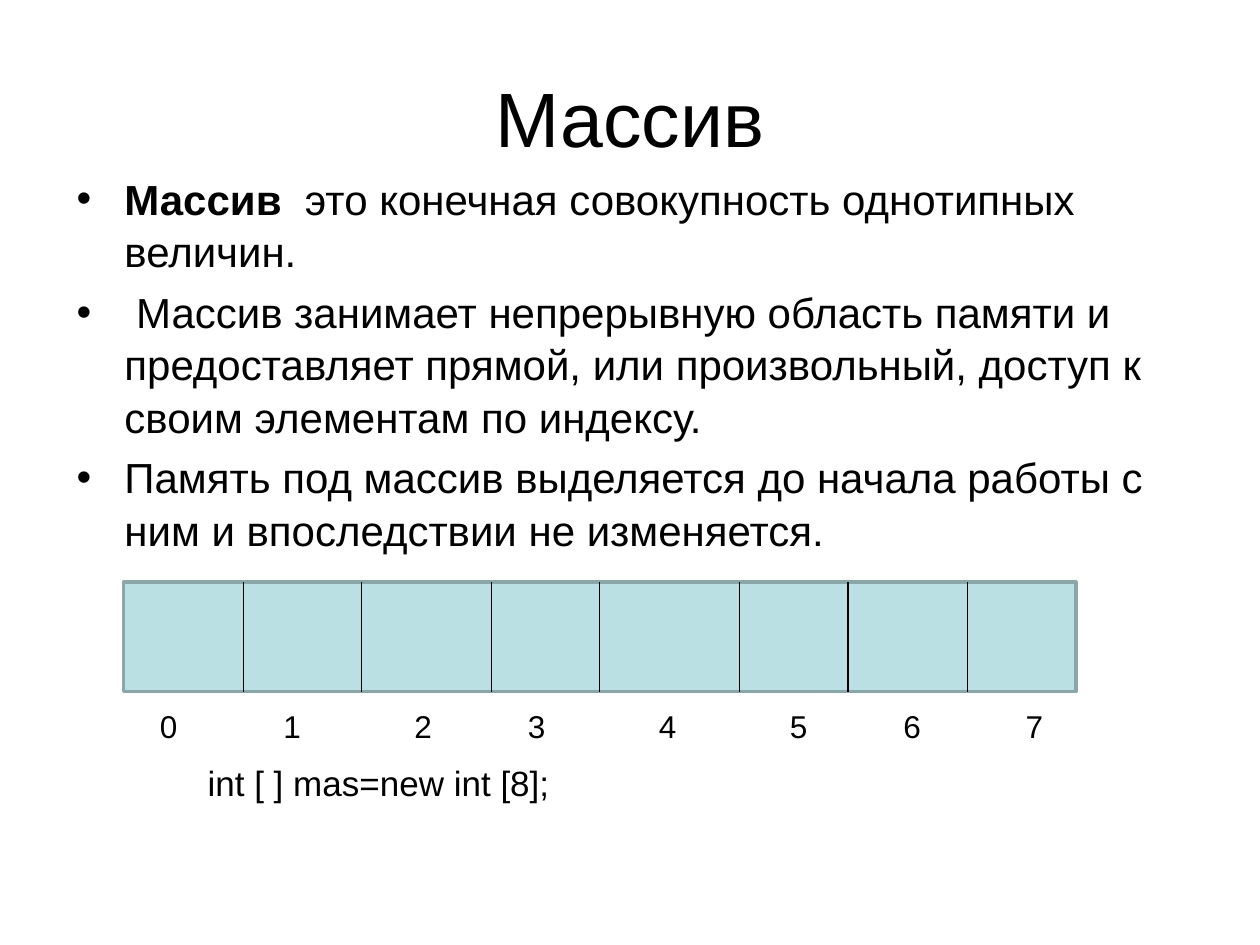
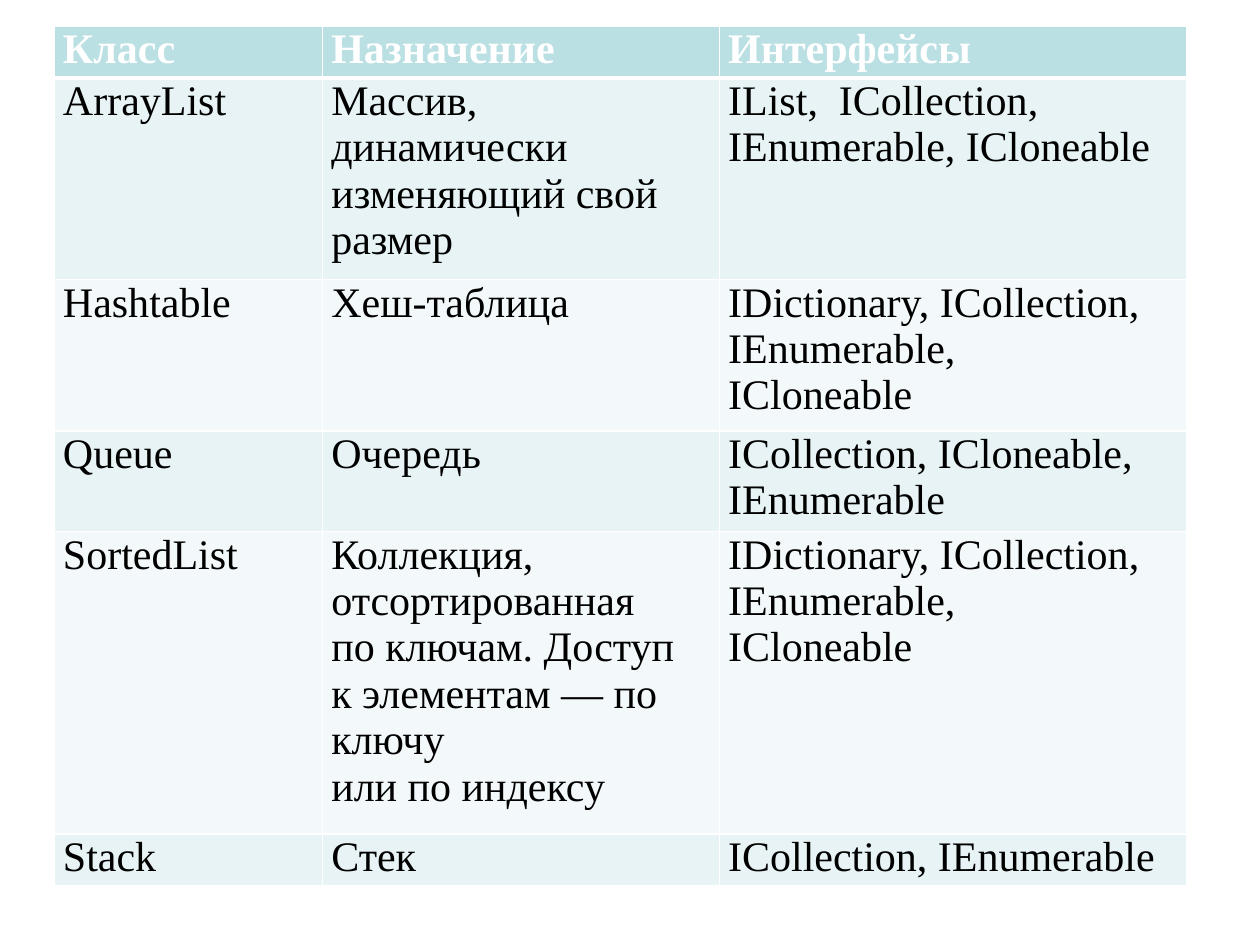
from dataclasses import dataclass

import lxml.etree
import pptx
import pptx.dml.color
import pptx.enum.shapes
import pptx.enum.text
import pptx.oxml.ns
import pptx.util

Inches = pptx.util.Inches
Pt = pptx.util.Pt
qn = pptx.oxml.ns.qn

COLORS = {
    "text": "000000",
    "white": "FFFFFF",
    "accent": "BBE0E3",
    "accent_edge": "8AA6A8",
    "odd_row": "E7F3F4",
    "even_row": "F3F9FA",
}
SANS = "Arial"
SERIF = "Times New Roman"


@dataclass(frozen=True)
class Box:
    left: float
    top: float
    width: float
    height: float

    def lengths(self) -> tuple:
        return tuple(Inches(n) for n in (self.left, self.top, self.width, self.height))


@dataclass(frozen=True)
class Bullet:
    text: str
    bold_start: str = ""


@dataclass(frozen=True)
class ClassRow:
    name: str
    purpose: str
    interfaces: str


BULLETS = [
    Bullet("  это конечная совокупность однотипных величин.", "Массив"),
    Bullet(" Массив занимает непрерывную область памяти и предоставляет прямой, "
           "или произвольный, доступ к своим элементам по индексу."),
    Bullet("Память под массив выделяется до начала работы с ним и впоследствии "
           "не изменяется."),
]
ARRAY_BOX = Box(0.98, 4.62, 7.56, 0.87)
DIVIDERS = [1.93, 2.87, 3.9, 4.76, 5.87, 6.73, 7.68]
INDEX_BOX = Box(0.9, 5.56, 7.72, 0.4)
INDEX_CENTERS = [1.34, 2.32, 3.36, 4.26, 5.3, 6.34, 7.24, 8.21]
INSET = 0.1

HEADER = ClassRow("Класс", "Назначение", "Интерфейсы")
CLASS_ROWS = [
    ClassRow("ArrayList", "Массив, динамически\nизменяющий свой размер",
             "IList,  ICollection, IEnumerable, ICloneable"),
    ClassRow("Hashtable", "Хеш-таблица",
             "IDictionary, ICollection, IEnumerable,\nICloneable"),
    ClassRow("Queue", "Очередь", "ICollection, ICloneable, IEnumerable"),
    ClassRow("SortedList",
             "Коллекция, отсортированная\nпо ключам. Доступ\n"
             "к элементам — по ключу\nили по индексу",
             "IDictionary, ICollection, IEnumerable,\nICloneable"),
    ClassRow("Stack", "Стек", "ICollection, IEnumerable"),
]
TABLE_BOX = Box(0.43, 0.21, 8.99, 6.82)
COLUMN_WIDTHS = [2.13, 3.15, 3.71]
ROW_HEIGHTS = [0.41, 1.6, 1.2, 0.8, 2.4, 0.41]


def rgb(name: str) -> pptx.dml.color.RGBColor:
    return pptx.dml.color.RGBColor.from_string(COLORS[name])


def format_font(font, name: str, size: float, color: str = "text") -> None:
    font.name = name
    font.size = Pt(size)
    font.color.rgb = rgb(color)


def add_text_box(slide, box: Box):
    text_frame = slide.shapes.add_textbox(*box.lengths()).text_frame
    text_frame.word_wrap = True
    return text_frame


def set_indent(paragraph, margin: float, indent: float):
    properties = paragraph._p.get_or_add_pPr()
    properties.set("marL", str(Inches(margin)))
    properties.set("indent", str(Inches(indent)))
    return properties


def add_title(slide, text: str) -> None:
    title = slide.shapes.title
    title.left, title.top, title.width, title.height = Box(0.5, 0.3, 9, 1.25).lengths()
    title.text_frame.text = text
    title.text_frame.vertical_anchor = pptx.enum.text.MSO_ANCHOR.MIDDLE
    paragraph = title.text_frame.paragraphs[0]
    paragraph.alignment = pptx.enum.text.PP_ALIGN.CENTER
    format_font(paragraph.font, SANS, 44)


def add_bullets(slide, box: Box, bullets: list[Bullet]) -> None:
    text_frame = add_text_box(slide, box)
    for number, bullet in enumerate(bullets):
        paragraph = text_frame.add_paragraph() if number else text_frame.paragraphs[0]
        paragraph.space_before = Pt(4.8)
        paragraph.line_spacing = 1.04
        properties = set_indent(paragraph, 0.38, -0.38)
        lxml.etree.SubElement(properties, qn("a:buFont")).set("typeface", SANS)
        lxml.etree.SubElement(properties, qn("a:buChar")).set("char", "•")
        format_font(paragraph.font, SANS, 24)
        if bullet.bold_start:
            run = paragraph.add_run()
            run.text = bullet.bold_start
            run.font.bold = True
        paragraph.add_run().text = bullet.text


def add_array(slide, box: Box, dividers: list[float]) -> None:
    shapes = slide.shapes.add_group_shape().shapes
    body = shapes.add_shape(pptx.enum.shapes.MSO_SHAPE.RECTANGLE, *box.lengths())
    body.shadow.inherit = False
    body.fill.solid()
    body.fill.fore_color.rgb = rgb("accent")
    body.line.color.rgb = rgb("accent_edge")
    body.line.width = Pt(2)
    for x in dividers:
        divider = shapes.add_connector(
            pptx.enum.shapes.MSO_CONNECTOR.STRAIGHT,
            Inches(x), Inches(box.top), Inches(x), Inches(box.top + box.height))
        divider.line.color.rgb = rgb("text")
        divider.line.width = Pt(0.75)
        lxml.etree.SubElement(divider._element.spPr, qn("a:effectLst"))


def add_indexes(slide, box: Box, centers: list[float]) -> None:
    paragraph = add_text_box(slide, box).paragraphs[0]
    paragraph.text = "".join(f"\t{index}" for index in range(len(centers)))
    tabs = lxml.etree.SubElement(paragraph._p.get_or_add_pPr(), qn("a:tabLst"))
    for center in centers:
        tab = lxml.etree.SubElement(tabs, qn("a:tab"))
        tab.set("pos", str(Inches(center - box.left - INSET)))
        tab.set("algn", "ctr")
    format_font(paragraph.font, SANS, 18)


def add_code(slide, box: Box, text: str) -> None:
    paragraph = add_text_box(slide, box).paragraphs[0]
    paragraph.text = text
    paragraph.line_spacing = 0.9
    set_indent(paragraph, 0, 0.49)
    format_font(paragraph.font, SANS, 20)


def set_borders(cell, top: float, bottom: float) -> None:
    properties = cell._tc.get_or_add_tcPr()
    for side, width in (("L", 1), ("R", 1), ("T", top), ("B", bottom)):
        line = lxml.etree.SubElement(properties, qn(f"a:ln{side}"))
        line.set("w", str(Pt(width)))
        fill = lxml.etree.SubElement(line, qn("a:solidFill"))
        lxml.etree.SubElement(fill, qn("a:srgbClr")).set("val", COLORS["white"])


def add_class_table(slide, box: Box, rows: list[ClassRow]) -> None:
    table = slide.shapes.add_table(len(rows), len(COLUMN_WIDTHS), *box.lengths()).table
    for column, width in zip(table.columns, COLUMN_WIDTHS):
        column.width = Inches(width)
    for number, (row, height, content) in enumerate(zip(table.rows, ROW_HEIGHTS, rows)):
        row.height = Inches(height)
        is_header = number == 0
        fill = "accent" if is_header else "odd_row" if number % 2 else "even_row"
        texts = (content.name, content.purpose, content.interfaces)
        for cell, text in zip(row.cells, texts):
            set_borders(cell, 3 if number == 1 else 1, 3 if is_header else 1)
            cell.fill.solid()
            cell.fill.fore_color.rgb = rgb(fill)
            cell.margin_left = cell.margin_right = Inches(0.07)
            cell.margin_top = cell.margin_bottom = 0
            cell.text_frame.text = text
            for paragraph in cell.text_frame.paragraphs:
                format_font(paragraph.font, SERIF, 24, "white" if is_header else "text")
                paragraph.font.bold = is_header


def build_array_slide(presentation) -> None:
    slide = presentation.slides.add_slide(presentation.slide_layouts[5])
    add_title(slide, "Массив")
    add_bullets(slide, Box(0.51, 1.31, 9, 2.31), BULLETS)
    add_array(slide, ARRAY_BOX, DIVIDERS)
    add_indexes(slide, INDEX_BOX, INDEX_CENTERS)
    add_code(slide, Box(1.06, 6.03, 4.96, 0.4), "int [ ] mas=new int [8];")


def build_collections_slide(presentation) -> None:
    slide = presentation.slides.add_slide(presentation.slide_layouts[6])
    add_class_table(slide, TABLE_BOX, [HEADER, *CLASS_ROWS])


presentation = pptx.Presentation()
presentation.slide_width = Inches(10)
presentation.slide_height = Inches(7.5)
build_array_slide(presentation)
build_collections_slide(presentation)
presentation.save("out.pptx")
